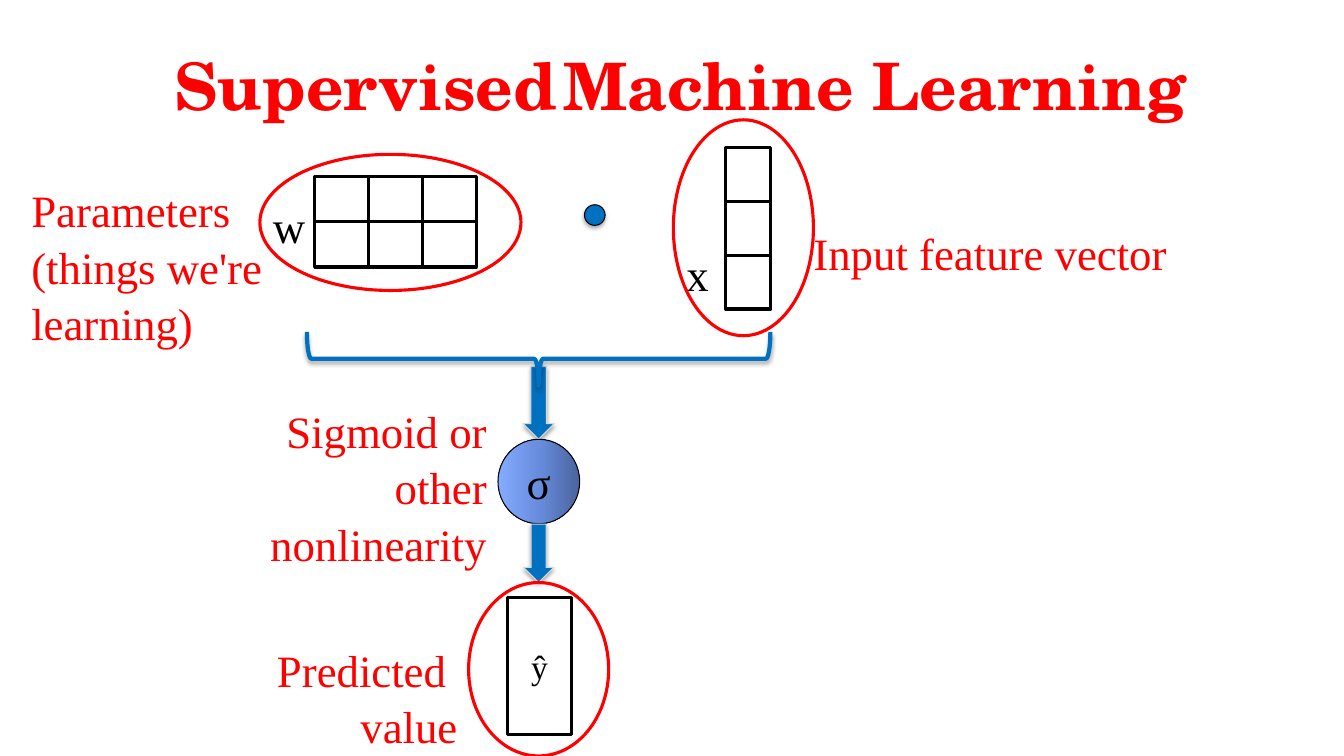
from copy import deepcopy

from lxml import etree
from pptx import Presentation
from pptx import util as u
from pptx.dml import color
from pptx.enum import shapes, text
from pptx.oxml import ns

RED, BLUE, BLACK, WHITE, GREY = "FF0000", "0070C0", "000000", "FFFFFF", "D8D8D8"
SERIF, SCHOLA = "Times New Roman", "TeX Gyre Schola"
KIND = shapes.MSO_SHAPE
ALIGN = text.PP_ALIGN
INSET = u.Cm(0.33)


def rgb(value):
    return color.RGBColor.from_string(value)


def format_span(span, size, shade, face=SERIF, bold=False):
    span.font.size = u.Pt(size)
    span.font.name = face
    span.font.bold = bold
    span.font.color.rgb = rgb(shade)


def write(frame, wording, size, shade, align):
    frame.text = wording
    frame.word_wrap = True
    frame.margin_left = frame.margin_right = frame.margin_top = frame.margin_bottom = INSET
    for para in frame.paragraphs:
        para.alignment = align
        for span in para.runs:
            format_span(span, size, shade)


def add_label(page, left, top, width, height, wording, shade=RED, align=ALIGN.LEFT):
    box = page.shapes.add_textbox(u.Cm(left), u.Cm(top), u.Cm(width), u.Cm(height))
    write(box.text_frame, wording, 32, shade, align)
    box.text_frame.margin_top = u.Cm(0.4)
    for para in box.text_frame.paragraphs:
        para.line_spacing = 1.05


def add_figure(page, kind, left, top, width, height, fill=None, line=BLACK, weight=2.25):
    figure = page.shapes.add_shape(kind, u.Cm(left), u.Cm(top), u.Cm(width), u.Cm(height))
    if fill:
        figure.fill.solid()
        figure.fill.fore_color.rgb = rgb(fill)
    else:
        figure.fill.background()
    figure.line.color.rgb = rgb(line)
    figure.line.width = u.Pt(weight)
    figure.shadow.inherit = False
    return figure


def cast_shadow(figure):
    effects = figure._element.spPr.find(ns.qn("a:effectLst"))
    shadow = etree.SubElement(effects, ns.qn("a:outerShdw"), blurRad=str(u.Pt(3.1)),
                              dist=str(u.Pt(1.8)), dir="5400000", rotWithShape="0")
    shade = etree.SubElement(shadow, ns.qn("a:srgbClr"), val=BLACK)
    etree.SubElement(shade, ns.qn("a:alpha"), val="35000")


def add_arrow(page, left, top, width, height):
    cast_shadow(add_figure(page, KIND.DOWN_ARROW, left, top, width, height, BLUE, GREY, 0.75))


def add_cells(page, left, top, rows, columns, width, height):
    for row in range(rows):
        for column in range(columns):
            add_figure(page, KIND.RECTANGLE, left + column * width, top + row * height,
                       width, height, WHITE)


def fill_gradient(figure, shades):
    """Spread three shades evenly, starting from the right."""
    figure.fill.gradient()
    figure.fill.gradient_angle = 180
    stop_list = figure._element.spPr.find(".//" + ns.qn("a:gsLst"))
    stop_list.append(deepcopy(stop_list[0]))
    for index, (stop, shade) in enumerate(zip(figure.fill.gradient_stops, shades)):
        stop.position = index / 2
        stop.color.rgb = rgb(shade)


def place_title(page, left, top, width, height):
    title = page.shapes.title
    title.left, title.top, title.width, title.height = map(u.Cm, (left, top, width, height))
    frame = title.text_frame
    write(frame, "", 46.7, RED, ALIGN.LEFT)
    frame.auto_size = text.MSO_AUTO_SIZE.NONE
    para = frame.paragraphs[0]
    indents = para._p.get_or_add_pPr()
    indents.set("marL", str(u.Cm(3.38)))
    indents.set("indent", str(u.Cm(-0.84)))
    for wording in ("Supervised", " ", "Machine Learning"):
        span = para.add_run()
        span.text = wording
        if wording == " ":
            format_span(span, 18, BLACK)
        else:
            format_span(span, 46.7, RED, SCHOLA, True)


def draw_input(page, left, top, width, height):
    add_cells(page, left + 1.32, top + 0.69, 3, 1, 1.14, 1.36)
    add_label(page, left, top + 2.72, 1.17, 1.57, "x", BLACK)
    add_figure(page, KIND.OVAL, left, top, width, height, line=RED)
    add_label(page, left + 3.2, top + 2.21, 10.06, 2.13, "Input feature vector")


def draw_product_dot(page, left, top, size):
    cast_shadow(add_figure(page, KIND.OVAL, left, top, size, size, BLUE, BLACK, 0.75))


def draw_weights(page, left, top, width, height):
    add_cells(page, left + 1.38, top + 0.56, 2, 3, 1.36, 1.14)
    add_label(page, left, top + 0.64, 1.17, 1.57, "w", BLACK)
    add_figure(page, KIND.OVAL, left, top, width, height, line=RED)
    add_label(page, left - 6.09, top + 0.25, 8.92, 2.13,
              "Parameters\n(things we're learning)")


def draw_activation(page, left, top, width, height):
    """Draw the sigma node in the given box, with the brace and arrow above it."""
    middle = left + width / 2
    add_arrow(page, middle - 0.4, top - 1.83, 0.79, 1.83)
    node = add_figure(page, KIND.OVAL, left, top, width, height, weight=0.75)
    fill_gradient(node, ("49639C", "688DDF", "85ABFF"))
    write(node.text_frame, "σ", 32, BLACK, ALIGN.CENTER)
    node.text_frame.vertical_anchor = text.MSO_ANCHOR.MIDDLE
    brace = add_figure(page, KIND.LEFT_BRACE, middle - 0.68, top - 7.87, 1.35, 11.68,
                       line=BLUE, weight=3)
    brace.rotation = 270
    cast_shadow(brace)
    add_label(page, left - 6.5, top - 1.37, 6.55, 2.13,
              "Sigmoid or other nonlinearity", align=ALIGN.RIGHT)


def draw_output(page, left, top, width, height):
    value = add_figure(page, KIND.RECTANGLE, left + 0.97, top + 0.38, 1.63, 3.45, WHITE)
    write(value.text_frame, "ŷ", 24, BLACK, ALIGN.CENTER)
    value.text_frame.vertical_anchor = text.MSO_ANCHOR.MIDDLE
    add_arrow(page, left + width / 2 - 0.38, top - 1.47, 0.76, 1.47)
    add_figure(page, KIND.OVAL, left, top, width, height, line=RED)
    add_label(page, left - 5.26, top + 1.04, 5.31, 2.13, "Predicted \nvalue",
              align=ALIGN.RIGHT)


def main():
    deck = Presentation()
    deck.slide_width, deck.slide_height = u.Cm(33.87), u.Cm(19.05)
    page = deck.slides.add_slide(deck.slide_layouts[5])
    place_title(page, 1.52, 0.84, 30.48, 2.57)
    draw_input(page, 16.97, 3.02, 3.53, 5.44)
    draw_product_dot(page, 14.73, 5.16, 0.52)
    draw_activation(page, 12.55, 11.07, 2.06, 2.13)
    draw_output(page, 11.81, 14.68, 3.53, 4.37)
    draw_weights(page, 6.55, 3.89, 6.58, 3.43)
    deck.save("out.pptx")


if __name__ == "__main__":
    main()
